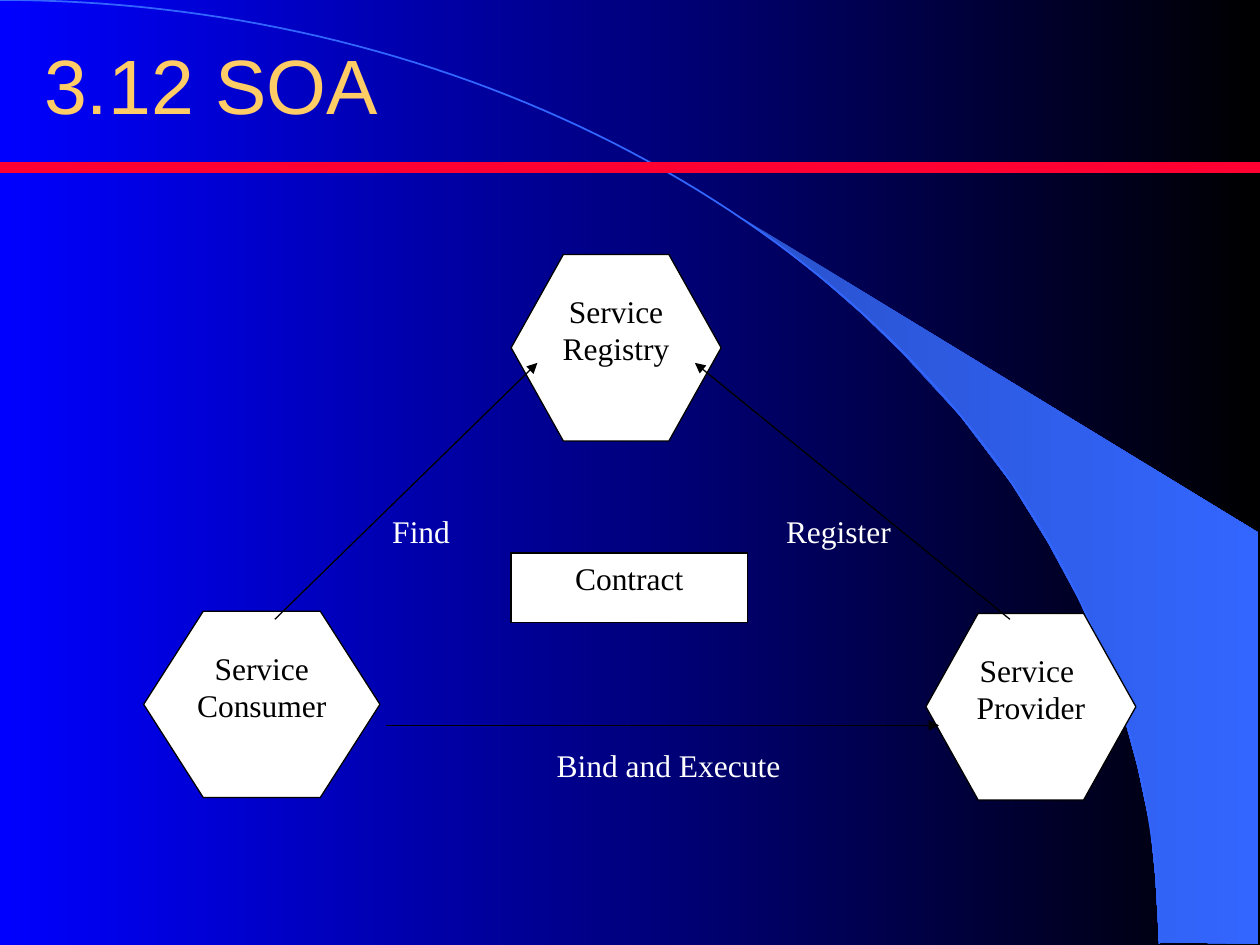
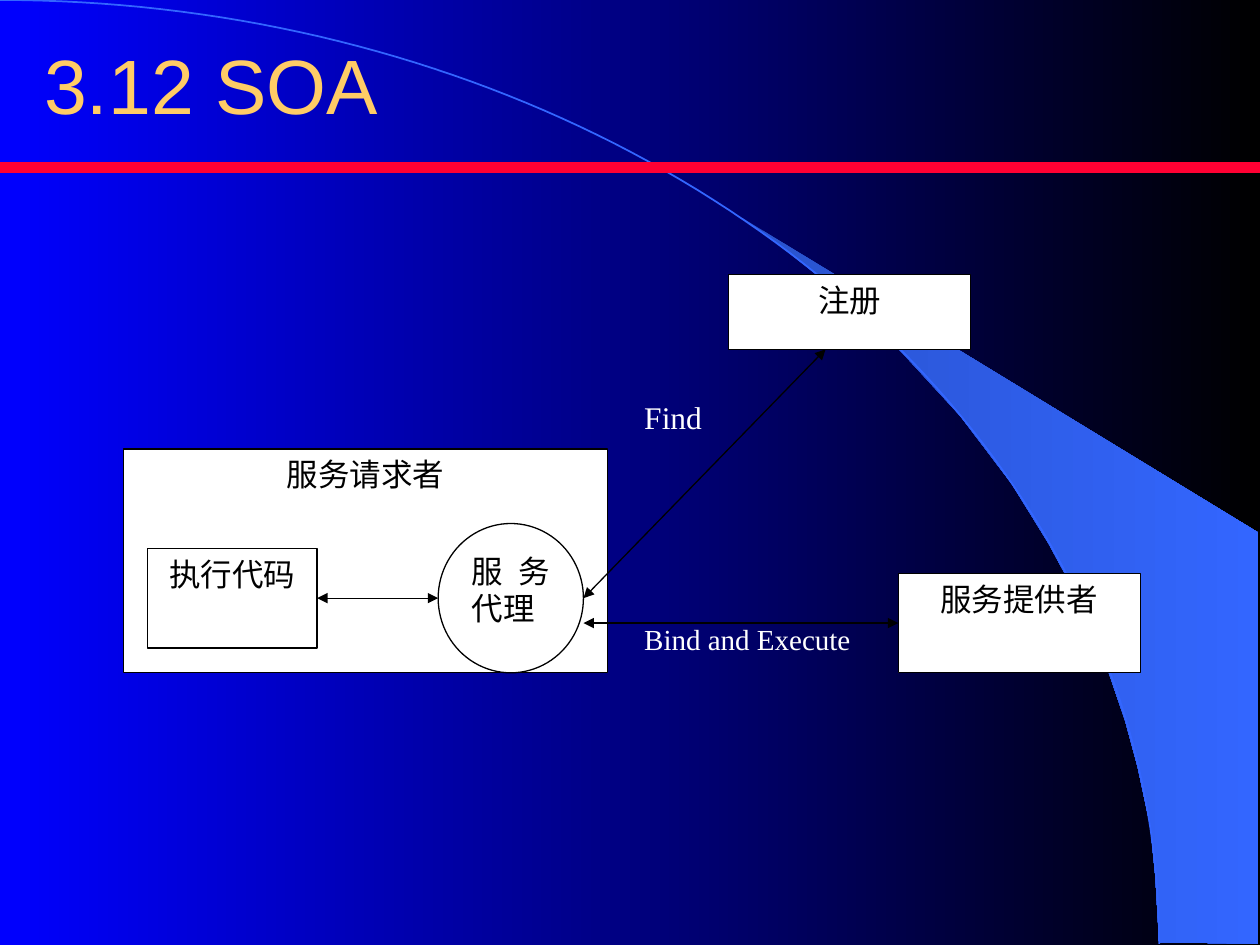
from dataclasses import dataclass
from math import cos, pi, sin
from typing import Any

from lxml.etree import SubElement
from pptx import Presentation
from pptx.dml.color import RGBColor
from pptx.enum.shapes import MSO_CONNECTOR, MSO_SHAPE
from pptx.enum.text import MSO_ANCHOR, PP_ALIGN
from pptx.oxml.ns import qn
from pptx.util import Inches, Pt

WIDTH, HEIGHT = 10, 7.5
BLUE = RGBColor(0x00, 0x00, 0xFF)
BLACK = RGBColor(0x00, 0x00, 0x00)
WHITE = RGBColor(0xFF, 0xFF, 0xFF)
GOLD = RGBColor(0xFF, 0xCC, 0x66)
RED = RGBColor(0xFF, 0x00, 0x33)
SKY = RGBColor(0x33, 0x66, 0xFF)
DEEP_SKY = RGBColor(0x29, 0x52, 0xCC)
TITLE_FONT, BODY_FONT = "Arial", "Times New Roman"

ARC_WIDTH, ARC_HEIGHT = 9.2, 7.49
WEDGE = [(9.2, 7.48), (9.99, 7.49), (9.99, 4.23), (5.89, 1.73), (6.24, 1.99),
         (6.53, 2.22), (6.85, 2.5), (7.16, 2.8), (7.62, 3.3), (8.03, 3.84),
         (8.32, 4.31), (8.58, 4.79), (8.78, 5.28), (8.93, 5.72),
         (9.03, 6.09), (9.13, 6.56), (9.17, 6.96)]


@dataclass
class Grid:
    """A slide's drawing grid: origin, column width and row height in inches."""
    s: Any
    left: float
    top: float
    col: float
    row: float

    def point(self, col, row):
        return (Inches(self.left + col * self.col),
                Inches(self.top + row * self.row))

    def box(self, col, row, cols, rows):
        return (*self.point(col, row),
                Inches(cols * self.col), Inches(rows * self.row))


def fill_gradient(fill, start, end):
    fill.gradient()
    fill.gradient_angle = 0
    for stop, color in zip(fill.gradient_stops, (start, end)):
        stop.color.rgb = color


def add_line(s, start, end, color=BLACK, width=0.75, arrow=False):
    line = s.shapes.add_connector(MSO_CONNECTOR.STRAIGHT, *start, *end)
    line.line.color.rgb = color
    line.line.width = Pt(width)
    if arrow:
        ln = line.line._get_or_add_ln()
        SubElement(ln, qn("a:tailEnd"), type="triangle")
    SubElement(line.element.spPr, qn("a:effectLst"))


def add_outline(s, points, close):
    (x, y), *rest = [(Inches(x), Inches(y)) for x, y in points]
    builder = s.shapes.build_freeform(x, y)
    builder.add_line_segments(rest, close=close)
    sp = builder.convert_to_shape()
    sp.shadow.inherit = False
    return sp


def add_backdrop(s):
    """Draw the light wedge, the arc and the red band."""
    wedge = add_outline(s, WEDGE, close=True)
    fill_gradient(wedge.fill, DEEP_SKY, SKY)
    wedge.line.fill.background()

    steps = 90
    angles = [i * pi / 2 / steps for i in range(steps + 1)]
    arc = add_outline(s, [(ARC_WIDTH * sin(a), ARC_HEIGHT * (1 - cos(a)))
                          for a in angles], close=False)
    arc.fill.background()
    arc.line.color.rgb = SKY
    arc.line.width = Pt(1)
    band_y = Inches(1.33)
    add_line(s, (0, band_y), (Inches(WIDTH), band_y), RED, 6)


def write(sp, text, font, size, color, align, anchor=MSO_ANCHOR.TOP):
    tf = sp.text_frame
    tf.word_wrap = True
    tf.vertical_anchor = anchor
    tf.text = text
    for p in tf.paragraphs:
        p.alignment = align
        p.font.name = font
        p.font.size = Pt(size)
        p.font.color.rgb = color


def add_title_slide(prs, title):
    s = prs.slides.add_slide(prs.slide_layouts[5])
    add_backdrop(s)
    sp = s.shapes.title
    sp.left, sp.top = Inches(0.25), Inches(0.25)
    sp.width, sp.height = Inches(8.5), Inches(0.83)
    write(sp, title, TITLE_FONT, 44, GOLD, PP_ALIGN.LEFT, MSO_ANCHOR.MIDDLE)
    sp.element.getparent().append(sp.element)  # in front of the backdrop
    return s


def add_node(grid, kind, box, text, align=PP_ALIGN.CENTER):
    sp = grid.s.shapes.add_shape(kind, *grid.box(*box))
    sp.shadow.inherit = False
    sp.fill.solid()
    sp.fill.fore_color.rgb = WHITE
    sp.line.color.rgb = BLACK
    sp.line.width = Pt(0.75)
    write(sp, text, BODY_FONT, 18, BLACK, align)
    return sp


def add_label(grid, box, text, size=18, align=PP_ALIGN.JUSTIFY):
    sp = grid.s.shapes.add_textbox(*grid.box(*box))
    write(sp, text, BODY_FONT, size, WHITE, align)


def add_arrow(grid, start, end):
    add_line(grid.s, grid.point(*start), grid.point(*end), arrow=True)


def add_two_way(grid, middle, *ends):
    for end in ends:
        add_arrow(grid, middle, end)


def add_roles(prs):
    grid = Grid(add_title_slide(prs, "3.12 SOA"), 1.14, 2.02, 2.5 / 12, 1.48 / 8)
    for box, slant, text in [
        ((29.8, 15.4, 8, 8), 0.28, "Service \nProvider"),
        ((0, 15.3, 9, 8), 0.32, "Service Consumer"),
        ((14, 0, 8, 8), 0.28, "Service Registry"),
    ]:
        add_node(grid, MSO_SHAPE.HEXAGON, box, text).adjustments[0] = slant
    add_node(grid, MSO_SHAPE.RECTANGLE, (14, 12.8, 9, 3), "Contract")

    add_arrow(grid, (33, 15.65), (21, 4.65))
    add_arrow(grid, (9.25, 20.2), (30.3, 20.2))
    add_arrow(grid, (5, 15.65), (15, 4.65))

    add_label(grid, (9, 10.8, 5, 3), "Find")
    add_label(grid, (24, 10.8, 7, 3), "Register")
    add_label(grid, (14, 20.8, 12, 3), "Bind and Execute", align=PP_ALIGN.CENTER)


def add_service_agent(prs):
    grid = Grid(add_title_slide(prs, "3.12 SOA"), 0.98, 2.18, 8.07 / 42, 3.16 / 16)
    for box, text in [
        ((25, 0, 10, 3), "注册"),
        ((32, 12, 10, 4), "服务提供者"),
        ((0, 7, 20, 9), "服务请求者"),
        ((1, 11, 7, 4), "执行代码"),
    ]:
        add_node(grid, MSO_SHAPE.RECTANGLE, box, text)
    add_node(grid, MSO_SHAPE.OVAL, (13, 10, 6, 6), "服务代理", PP_ALIGN.JUSTIFY)

    add_two_way(grid, (22, 10), (19, 13), (29, 3))
    add_two_way(grid, (25, 14), (32, 14), (19, 14))
    add_two_way(grid, (11, 13), (13, 13), (8, 13))

    add_label(grid, (21, 4.7, 4, 3), "Find")
    add_label(grid, (21, 13.7, 10, 3), "Bind and Execute", 16.6)


def main():
    prs = Presentation()
    prs.slide_width, prs.slide_height = Inches(WIDTH), Inches(HEIGHT)
    fill_gradient(prs.slide_master.background.fill, BLUE, BLACK)
    add_roles(prs)
    add_service_agent(prs)
    prs.save("out.pptx")


if __name__ == "__main__":
    main()
